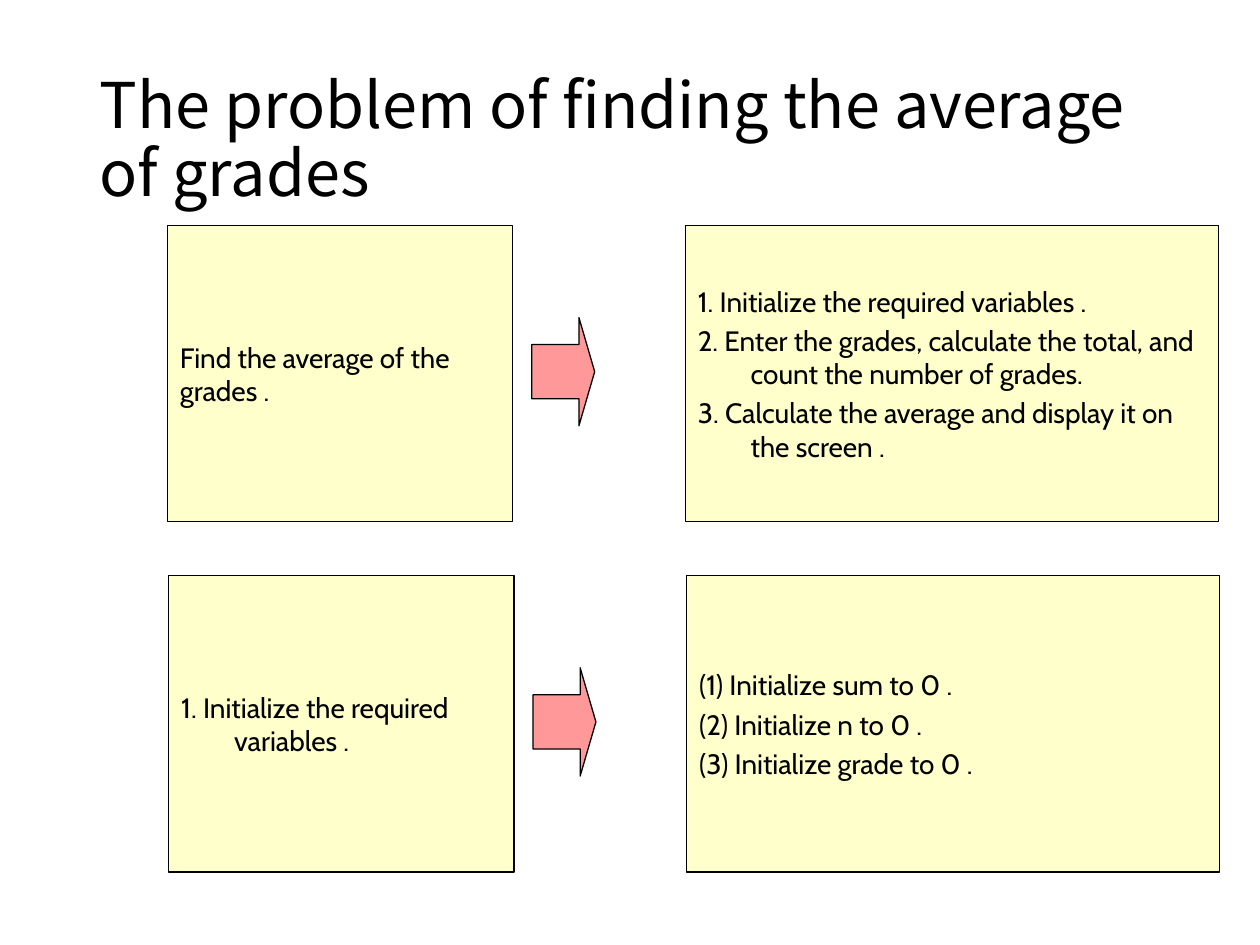
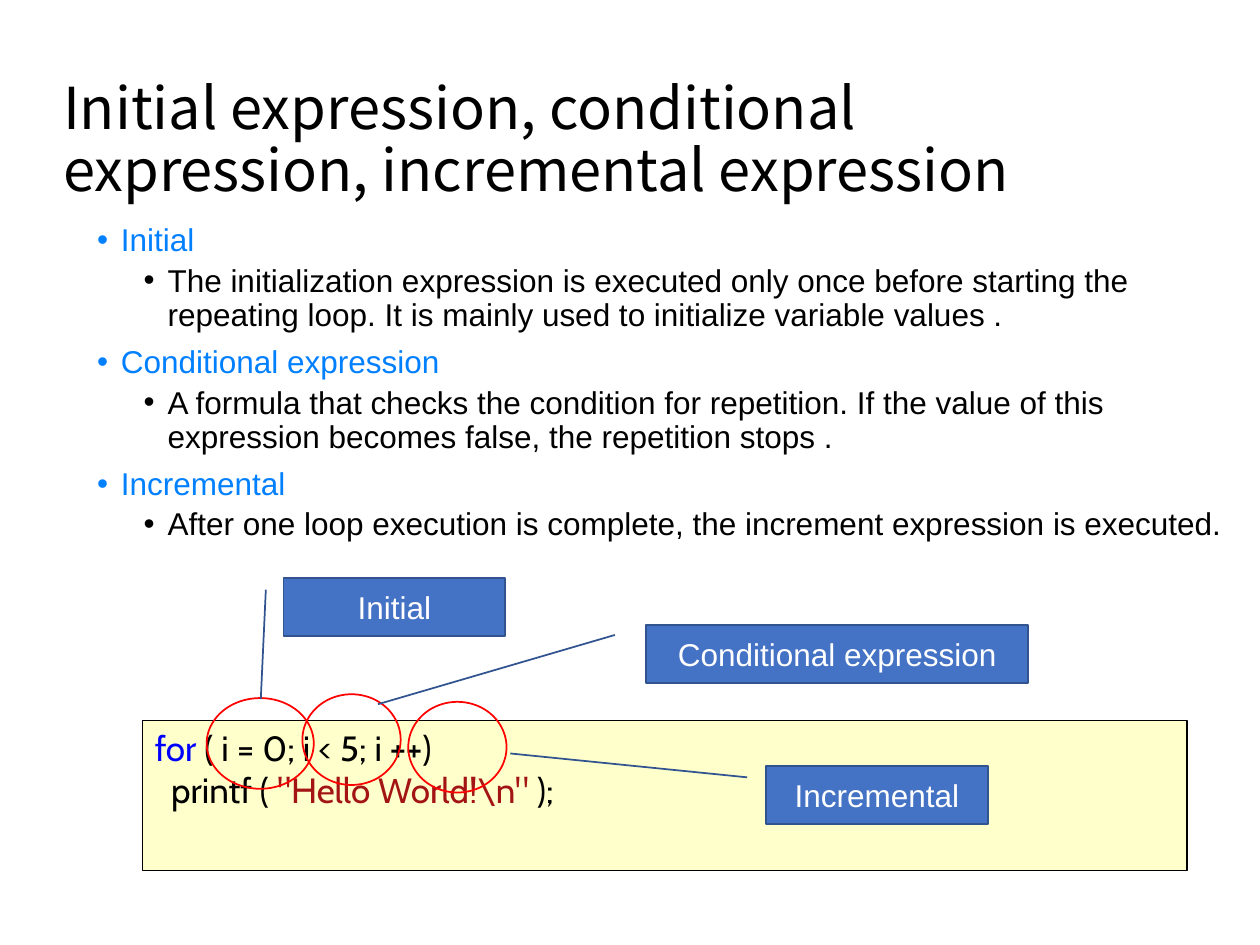
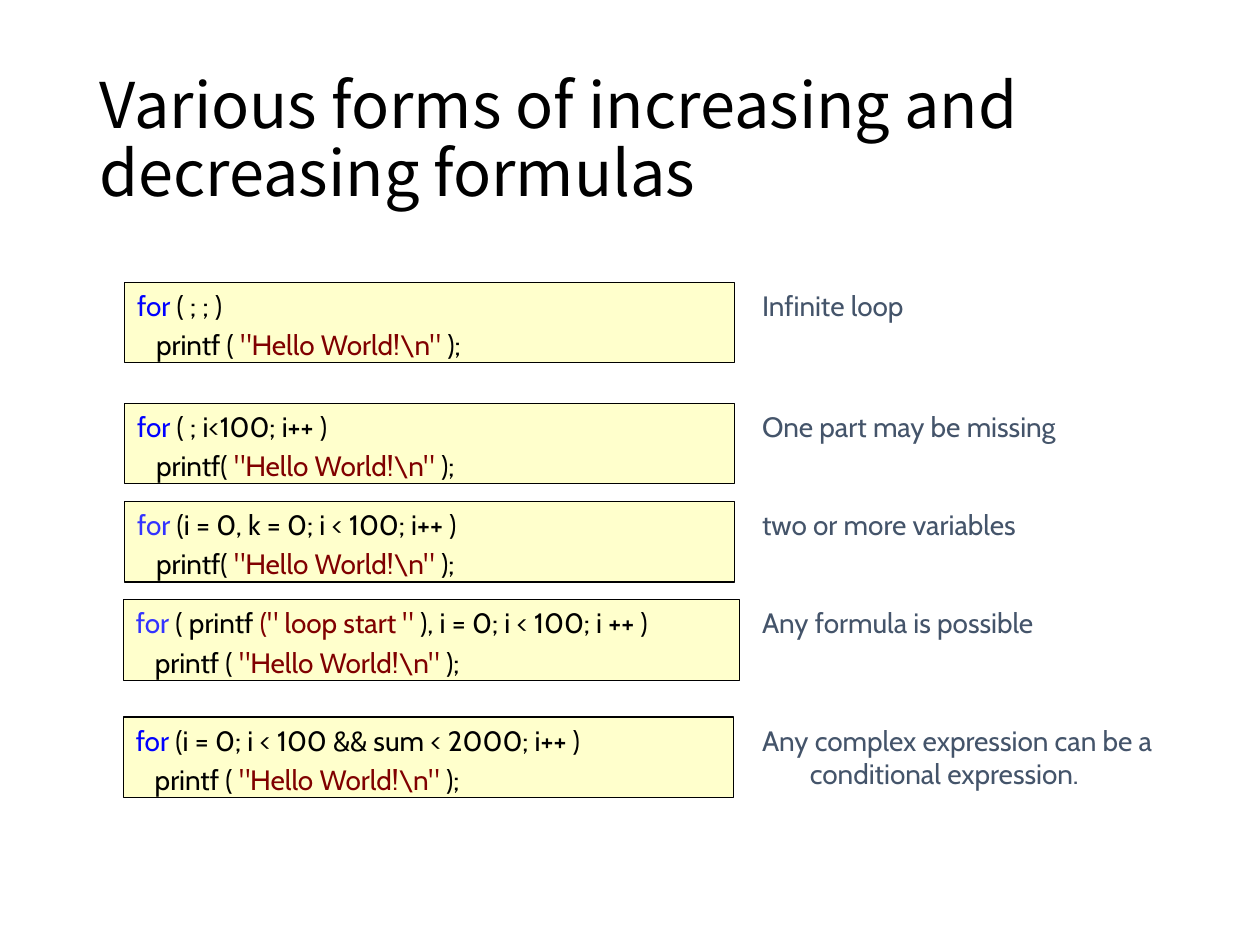
from lxml.etree import SubElement
from pptx import Presentation
from pptx.dml.color import RGBColor
from pptx.enum.shapes import MSO_SHAPE
from pptx.enum.text import MSO_ANCHOR, MSO_AUTO_SIZE, PP_ALIGN
from pptx.oxml.ns import qn
from pptx.util import Inches, Pt

COLORS = {
    "black": "000000", "white": "FFFFFF", "panel": "FFFFCC", "arrow": "FF9999",
    "heading": "0080FF", "callout": "4472C4", "callout_line": "31538F",
    "ring": "FF0000", "keyword": "0000FF", "keyword_light": "3333FF",
    "string": "800000", "string_bright": "A31515", "note": "44546A",
}
TITLE_FONT, BODY_FONT, CODE_FONT = "Noto Sans CJK KR", "Arial", "Cabin"
TITLE_ONLY, TITLE_AND_CONTENT = 5, 1
HELLO = '"Hello World!\\n" '


def color(name):
    return RGBColor.from_string(COLORS[name])


# Text
def prepare_frame(shape, anchor=MSO_ANCHOR.TOP):
    frame = shape.text_frame
    frame.word_wrap = True
    frame.auto_size = MSO_AUTO_SIZE.NONE
    frame.vertical_anchor = anchor
    return frame


def set_indent(paragraph, left, first=0):
    properties = paragraph._p.get_or_add_pPr()
    properties.set("marL", str(Inches(left)))
    properties.set("indent", str(Inches(first)))


def write_runs(paragraph, runs, font, size, before=0, align=PP_ALIGN.LEFT):
    """Write (text, color name) pairs as the runs of one paragraph."""
    paragraph.alignment = align
    paragraph.space_before = Pt(before)
    for text, color_name in runs:
        run = paragraph.add_run()
        run.text = text
        run.font.name = font
        run.font.size = Pt(size)
        run.font.color.rgb = color(color_name)


def next_paragraph(frame, index):
    return frame.add_paragraph() if index else frame.paragraphs[0]


def write_list(frame, lines, hanging, color_name="black"):
    for index, line in enumerate(lines):
        paragraph = next_paragraph(frame, index)
        write_runs(paragraph, [(line, color_name)], CODE_FONT, 16, 3.2 if index else 0)
        set_indent(paragraph, hanging, -hanging)


def write_code(frame, lines, size, indent, before=0):
    """Write a loop header and its indented body."""
    for index, runs in enumerate(lines):
        paragraph = next_paragraph(frame, index)
        write_runs(paragraph, runs, CODE_FONT, size, before if index else 0)
        set_indent(paragraph, indent if index else 0)


def write_bullets(frame, items):
    for index, (level, text) in enumerate(items):
        paragraph = next_paragraph(frame, index)
        paragraph.level = level
        paragraph.line_spacing = 0.9
        before = 3.8 if level else 7.5
        write_runs(paragraph, [(text, "black" if level else "heading")],
                   BODY_FONT, 18, before if index else 0)
        set_indent(paragraph, 0.56 if level else 0.19, -0.19)
        properties = paragraph._p.get_or_add_pPr()
        SubElement(properties, qn("a:buFont")).set("typeface", "Arial")
        SubElement(properties, qn("a:buChar")).set("char", "•")


# Elements
def place(shape, left, top, width, height):
    shape.left, shape.top = Inches(left), Inches(top)
    shape.width, shape.height = Inches(width), Inches(height)


def add_titled_slide(presentation, title, layout=TITLE_ONLY, left=0.69, width=8.62, size=36):
    slide = presentation.slides.add_slide(presentation.slide_layouts[layout])
    place(slide.shapes.title, left, 0.4, width, 1.45)
    paragraph = prepare_frame(slide.shapes.title, MSO_ANCHOR.MIDDLE).paragraphs[0]
    paragraph.line_spacing = 0.9
    write_runs(paragraph, [(title, "black")], TITLE_FONT, size)
    return slide


def add_preset(slide, kind, box, fill=None, line="black", line_width=0.75):
    shape = slide.shapes.add_shape(kind, *map(Inches, box))
    shape.shadow.inherit = False
    if fill:
        shape.fill.solid()
        shape.fill.fore_color.rgb = color(fill)
    else:
        shape.fill.background()
    shape.line.color.rgb = color(line)
    shape.line.width = Pt(line_width)
    return shape


def add_panel(slide, box, anchor=MSO_ANCHOR.TOP):
    return prepare_frame(add_preset(slide, MSO_SHAPE.RECTANGLE, box, "panel"), anchor)


def add_arrow(slide, left, top):
    arrow = add_preset(slide, MSO_SHAPE.RIGHT_ARROW, (left, top, 0.5, 0.86), "arrow")
    arrow.adjustments[0], arrow.adjustments[1] = 0.5, 0.25


def add_callout(slide, text, box, start, end):
    """Add a labelled box whose leader runs from start to end on the slide."""
    left, top, width, height = box
    callout = add_preset(slide, MSO_SHAPE.LINE_CALLOUT_1, box, "callout", "callout_line", 1)
    for index, (x, y) in enumerate((start, end)):
        callout.adjustments[2 * index] = (y - top) / height
        callout.adjustments[2 * index + 1] = (x - left) / width
    frame = prepare_frame(callout, MSO_ANCHOR.MIDDLE)
    write_runs(frame.paragraphs[0], [(text, "white")], BODY_FONT, 18, align=PP_ALIGN.CENTER)


def add_note(slide, text, top, width):
    note = slide.shapes.add_textbox(*map(Inches, (5.95, top, width, 0.64)))
    write_list(prepare_frame(note), [text], 0.38, "note")


# Slides
def build_average_slide(presentation):
    slide = add_titled_slide(presentation, "The problem of finding the average of grades")
    refinements = [
        (1.33, 1.79, 0, "Find the average of the grades .",
         ["1. Initialize the required variables .",
          "2. Enter the grades, calculate the total, and count the number of grades.",
          "3. Calculate the average and display it on the screen ."]),
        (1.34, 4.57, 0.42, "1. Initialize the required variables .",
         ["(1) Initialize sum to 0 .", "(2) Initialize n to 0 .",
          "(3) Initialize grade to 0 ."]),
    ]
    for left, top, hanging, problem, steps in refinements:
        problem_frame = add_panel(slide, (left, top, 2.74, 2.35), MSO_ANCHOR.MIDDLE)
        write_list(problem_frame, [problem], hanging)
        add_arrow(slide, left + 2.89, top + 0.73)
        steps_frame = add_panel(slide, (left + 4.11, top, 4.23, 2.35), MSO_ANCHOR.MIDDLE)
        write_list(steps_frame, steps, 0.42)


def build_expressions_slide(presentation):
    slide = add_titled_slide(
        presentation, "Initial expression, conditional expression, incremental expression",
        TITLE_AND_CONTENT, 0.4, 8.92, 33)
    body = slide.placeholders[1]
    place(body, 0.67, 1.73, 9.16, 4.92)
    write_bullets(prepare_frame(body), [
        (0, "Initial"),
        (1, "The initialization expression is executed only once before starting the "
            "repeating loop. It is mainly used to initialize variable values ."),
        (0, "Conditional expression"),
        (1, "A formula that checks the condition for repetition. If the value of this "
            "expression becomes false, the repetition stops ."),
        (0, "Incremental"),
        (1, "After one loop execution is complete, the increment expression is executed."),
    ])
    write_code(add_panel(slide, (1.13, 5.72, 8.29, 1.19)), [
        [("for ", "keyword"), ("( i = 0; i < 5; i ++)", "black")],
        [("printf ( ", "black"), (HELLO, "string_bright"), (");", "black")],
    ], 20, 0.13)
    # Rings around the three expressions
    for left, top, width in ((1.64, 5.54, 0.85), (2.4, 5.51, 0.78), (3.24, 5.57, 0.78)):
        add_preset(slide, MSO_SHAPE.OVAL, (left, top, width, 0.72), line="ring", line_width=1)
    add_callout(slide, "Initial", (2.25, 4.59, 1.76, 0.46), (2.11, 4.68), (2.07, 5.55))
    add_callout(slide, "Conditional expression", (5.13, 4.96, 3.03, 0.46),
                (4.88, 5.04), (3, 5.59))
    add_callout(slide, "Incremental", (6.08, 6.08, 1.76, 0.46), (5.93, 6.17), (4.05, 5.98))


def build_forms_slide(presentation):
    slide = add_titled_slide(presentation, "Various forms of increasing and decreasing formulas")
    # Box left, top and width, keyword color, loop header, call, note and note width
    forms = [
        (0.99, 2.24, 4.84, "keyword", [("( ; ; )", "black")],
         "printf ( ", "Infinite loop", 3.26),
        (0.99, 3.2, 4.84, "keyword", [("( ; i<100; i++ )", "black")],
         "printf( ", "One part may be missing", 3.26),
        (0.99, 3.98, 4.84, "keyword_light", [("(i = 0, k = 0; i < 100; i++ )", "black")],
         "printf( ", "two or more variables", 3.26),
        (0.98, 4.76, 4.89, "keyword_light",
         [("( printf ", "black"), ('(" loop start " ', "string"),
          ("), i = 0; i < 100; i ++ )", "black")],
         "printf ( ", "Any formula is possible", 3.26),
        (0.98, 5.69, 4.84, "keyword", [("(i = 0; i < 100 && sum < 2000; i++ )", "black")],
         "printf ( ", "Any complex expression can be a conditional expression.", 3.47),
    ]
    for left, top, width, keyword, header, call, note, note_width in forms:
        write_code(add_panel(slide, (left, top, width, 0.64)), [
            [("for ", keyword)] + header,
            [(call, "black"), (HELLO, "string"), (");", "black")],
        ], 16, 0.15, 3.2)
        add_note(slide, note, top, note_width)


def main():
    presentation = Presentation()
    presentation.slide_width, presentation.slide_height = Inches(10), Inches(7.5)
    build_average_slide(presentation)
    build_expressions_slide(presentation)
    build_forms_slide(presentation)
    presentation.save("out.pptx")


if __name__ == "__main__":
    main()
